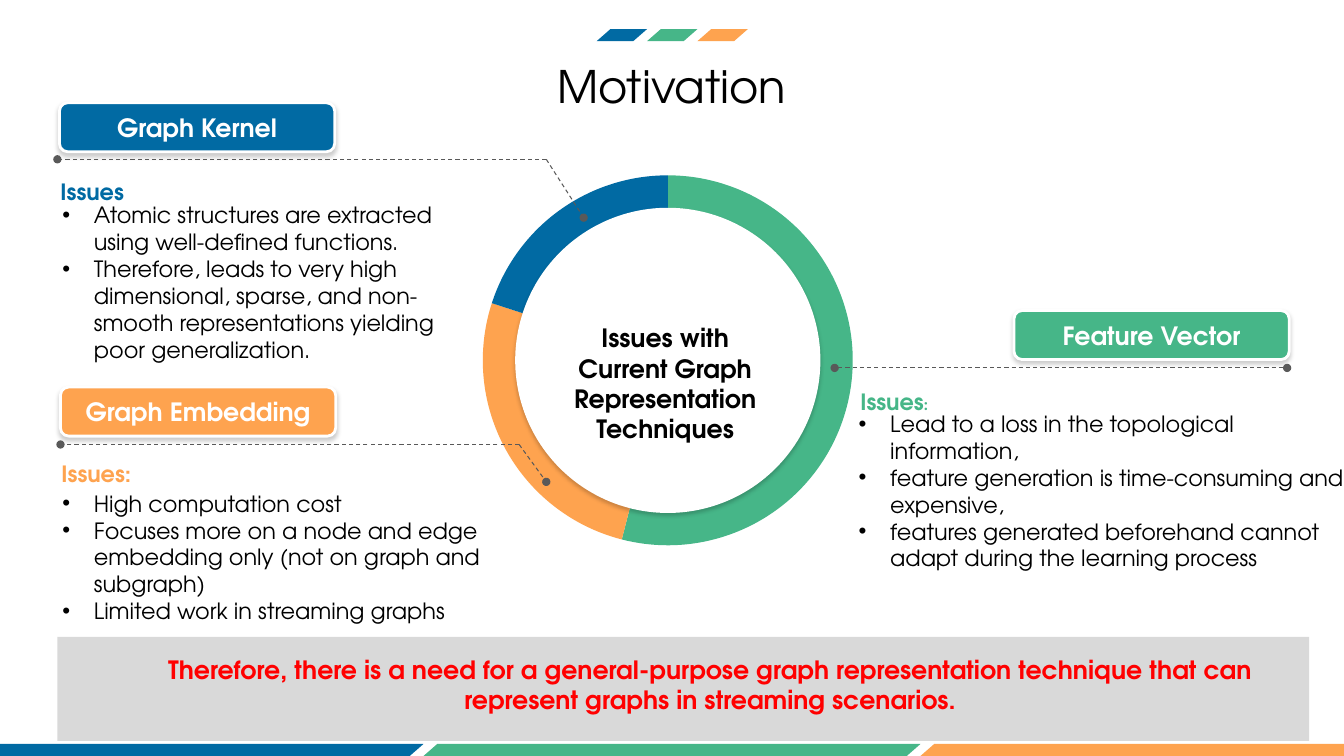
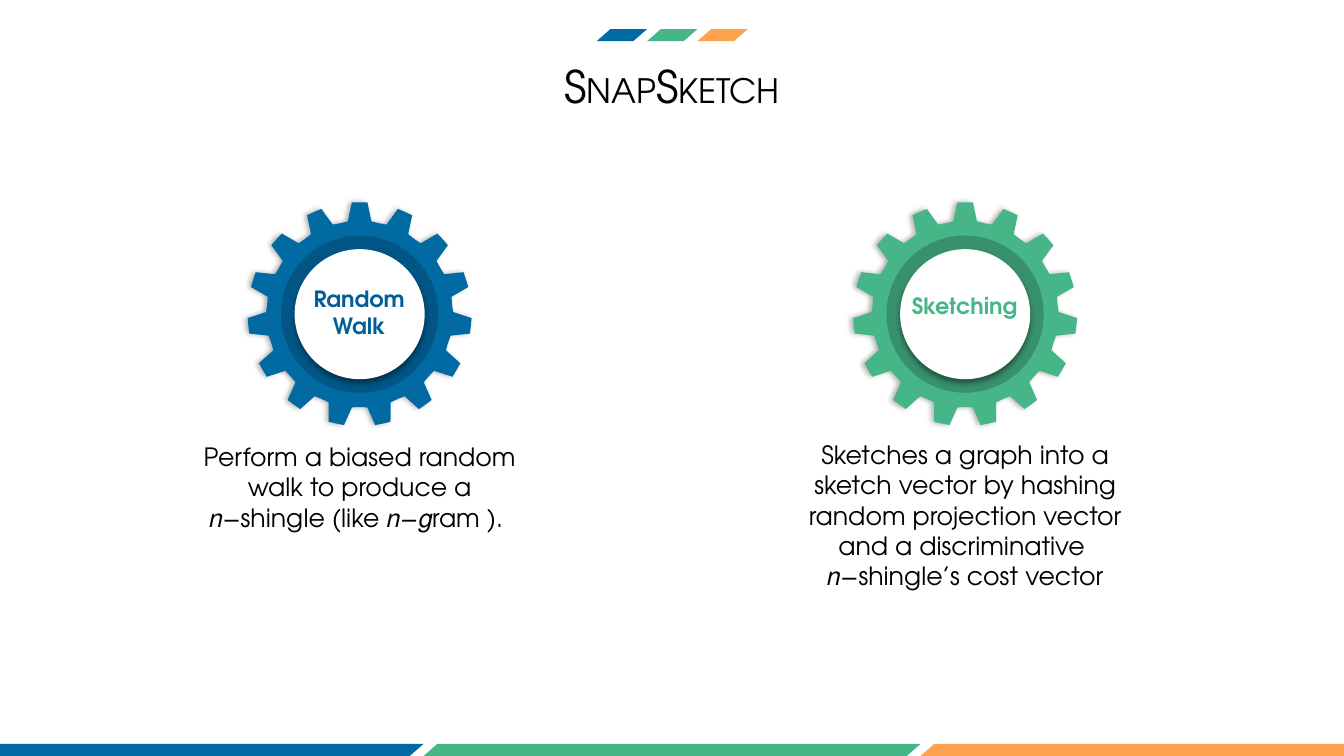
import math

from pptx import Presentation
from pptx import util as u
from pptx.chart import data as chart_data
from pptx.dml import color
from pptx.enum import chart as charts, dml, shapes, text
from pptx.oxml import ns, xmlchemy

FONT = "TeX Gyre Adventor"
BLUE, GREEN, ORANGE = "016AA3", "46B688", "FEA34F"
WHITE, BLACK, GREY, PALE, RED = "FFFFFF", "000000", "595959", "D9D9D9", "FF0000"
CENTER, LEFT, RIGHT = text.PP_ALIGN.CENTER, text.PP_ALIGN.LEFT, text.PP_ALIGN.RIGHT
MIDDLE, TOP = text.MSO_ANCHOR.MIDDLE, text.MSO_ANCHOR.TOP
SOFT_SHADOW = (20, 3, 2, 90)


def rgb(value):
    """Return a colour from its hex string."""
    return color.RGBColor.from_string(value)


def points(*values):
    """Return lengths given in points."""
    return [u.Pt(value) for value in values]


def sub_element(parent, tag, **attributes):
    """Append an XML element with attributes and return it."""
    element = xmlchemy.OxmlElement(tag)
    for name, value in attributes.items():
        element.set(name, str(value))
    parent.append(element)
    return element


def paint(shape, fill, line=None, shadow=None):
    """Set the fill, outline and shadow of a shape."""
    shape.fill.solid()
    shape.fill.fore_color.rgb = rgb(fill)
    if line:
        shape.line.color.rgb = rgb(line)
        shape.line.width = u.Pt(2)
    else:
        shape.line.fill.background()
    shape.shadow.inherit = False
    if shadow:
        opacity, blur, distance, angle = shadow
        effects = shape._element.spPr.find(ns.qn("a:effectLst"))
        outer = sub_element(effects, "a:outerShdw", blurRad=u.Pt(blur), dist=u.Pt(distance),
                            dir=angle * 60000, algn="ctr", rotWithShape=0)
        tint = sub_element(outer, "a:srgbClr", val=BLACK)
        sub_element(tint, "a:alpha", val=opacity * 1000)
    return shape


def add_block(slide, kind, box, fill, line=None, shadow=None):
    """Add a painted preset shape."""
    return paint(slide.shapes.add_shape(kind, *points(*box)), fill, line, shadow)


def write(shape, paragraphs, hue, align=LEFT, bold=False, bullets=False,
          insets=(0, 0, 0, 0), anchor=TOP):
    """Fill a shape with paragraphs of (text, size, font) runs."""
    frame = shape.text_frame
    frame.word_wrap = True
    frame.vertical_anchor = anchor
    frame.margin_left, frame.margin_top, frame.margin_right, frame.margin_bottom = points(*insets)
    for index, runs in enumerate(paragraphs):
        paragraph = frame.add_paragraph() if index else frame.paragraphs[0]
        paragraph.alignment = align
        if bullets:
            properties = paragraph._p.get_or_add_pPr()
            properties.set("marL", str(u.Pt(22.5)))
            properties.set("indent", str(u.Pt(-22.5)))
            sub_element(properties, "a:buFont", typeface="Arial")
            sub_element(properties, "a:buChar", char="•")
        for words, size, font in runs:
            run = paragraph.add_run()
            run.text = words
            run.font.size = u.Pt(size)
            run.font.name = font
            run.font.bold = bold
            run.font.color.rgb = rgb(hue)


def add_text(slide, box, paragraphs, hue=BLACK, **style):
    """Add a text box."""
    write(slide.shapes.add_textbox(*points(*box)), paragraphs, hue, **style)


def plain(size, *lines):
    """Return one paragraph of one run for each line."""
    return [[(line, size, FONT)] for line in lines]


def add_leader(slide, start, end, dot_at_start=False):
    """Add a dashed line that ends in a dot."""
    connector = slide.shapes.add_connector(shapes.MSO_CONNECTOR.STRAIGHT, *points(*start, *end))
    connector.line.color.rgb = rgb(GREY)
    connector.line.width = u.Pt(0.75)
    connector.line.dash_style = dml.MSO_LINE.DASH
    outline = connector.line._get_or_add_ln()
    if dot_at_start:
        sub_element(outline, "a:headEnd", type="oval")
    sub_element(outline, "a:tailEnd", type="oval")
    sub_element(connector._element.spPr, "a:effectLst")


def add_stripes(slide, left, top, width):
    """Add three slanted stripes side by side."""
    for index, hue in enumerate((BLUE, GREEN, ORANGE)):
        box = (left + index * width, top, width, 8.6)
        stripe = add_block(slide, shapes.MSO_SHAPE.PARALLELOGRAM, box, hue)
        stripe.adjustments[0] = 1.144


def new_slide(presentation, title_runs):
    """Add a blank slide with the shared stripes and title."""
    slide = presentation.slides.add_slide(presentation.slide_layouts[6])
    add_stripes(slide, -52.5, 531.4, 355)
    add_stripes(slide, 426.2, 20.8, 36)
    add_text(slide, (237.6, 41.8, 484.6, 38.8), [title_runs], align=CENTER, anchor=MIDDLE)
    return slide


def add_ring(slide, left, top, width, height):
    """Add a pie chart with a white disc and a caption at its centre."""
    numbers = chart_data.CategoryChartData()
    numbers.categories = ["1", "2", "3"]
    numbers.add_series("Series 1", (54, 26, 20))
    chart = slide.shapes.add_chart(charts.XL_CHART_TYPE.PIE, *points(left, top, width, height),
                                   numbers).chart
    chart.has_legend = False
    chart.has_title = False
    chart.font.size = u.Pt(10)
    chart.font.name = "Calibri"
    chart.font.color.rgb = rgb(BLACK)
    plot = chart.plots[0]
    plot.vary_by_categories = True
    for index, hue in enumerate((GREEN, ORANGE, BLUE)):
        slice_format = plot.series[0].points[index].format
        slice_format.fill.solid()
        slice_format.fill.fore_color.rgb = rgb(hue)
        slice_format.line.fill.background()
    area = chart._chartSpace.chart.plotArea
    for old in area.findall(ns.qn("c:layout")):
        area.remove(old)
    layout = xmlchemy.OxmlElement("c:layout")
    area.insert(0, layout)
    manual = sub_element(layout, "c:manualLayout")
    pie = 264.3
    across, down = pie / width, pie / height
    for tag, value in (("layoutTarget", "inner"), ("xMode", "edge"), ("yMode", "edge"),
                       ("x", (1 - across) / 2), ("y", (1 - down) / 2),
                       ("w", across), ("h", down)):
        sub_element(manual, "c:" + tag, val=value)
    disc = 218
    add_block(slide, shapes.MSO_SHAPE.OVAL,
              (left + (width - disc) / 2, top + (height - disc) / 2, disc, disc),
              WHITE, shadow=SOFT_SHADOW)
    add_text(slide, (left + 119.5, top + 115.2, 184.3, 87),
             plain(18, "Issues with", "Current Graph Representation Techniques"),
             align=CENTER, bold=True)


def add_callout(slide, left, top, hue, label, heading, heading_box, issues, issues_box,
                heading_align=LEFT):
    """Add a button with a heading and bullets, boxes being relative to the button."""
    button = add_block(slide, shapes.MSO_SHAPE.ROUNDED_RECTANGLE, (left, top, 196.6, 35),
                       hue, WHITE, SOFT_SHADOW)
    write(button, plain(18, label), WHITE, align=CENTER, bold=True, anchor=MIDDLE,
          insets=(7.2, 3.6, 7.2, 3.6))
    right, down = heading_box
    add_text(slide, (left + right, top + down, 75.6, 19.4), [heading], hue,
             align=heading_align, bold=True)
    right, down, width, height = issues_box
    add_text(slide, (left + right, top + down, width, height), plain(16, *issues), bullets=True)


def add_conclusion(slide, left, top, width, height):
    """Add the grey band with the conclusion."""
    band = add_block(slide, shapes.MSO_SHAPE.RECTANGLE, (left, top, width, height), PALE)
    write(band, plain(18, "Therefore, there is a need for a general-purpose graph representation "
                          "technique that can represent graphs in streaming scenarios."),
          RED, align=CENTER, bold=True, insets=(45.4, 12.2, 7.2, 3.6))


def add_motivation(presentation):
    """Add the slide on the issues of current techniques."""
    slide = new_slide(presentation, [("Motivation", 32, FONT)])
    add_ring(slide, 263.5, 115.2, 427, 284.4)
    add_callout(slide, 42.5, 73.4, BLUE, "Graph Kernel", [("Issues", 16, FONT)], (0.7, 54),
                ("Atomic structures are extracted using well-defined functions.",
                 "Therefore, leads to very high dimensional, sparse, and non-smooth "
                 "representations yielding poor generalization."), (2.1, 70.6, 298, 116.6))
    add_callout(slide, 43.2, 276.5, ORANGE, "Graph Embedding", [("Issues:", 16, FONT)], (0.7, 52.5),
                ("High computation cost",
                 "Focuses more on a node and edge embedding only (not on graph and subgraph)",
                 "Limited work in streaming graphs"), (1.4, 73.4, 318.2, 97.2))
    add_callout(slide, 724.3, 221.8, GREEN, "Feature Vector",
                [("Issues", 16, FONT), (":", 12, "Calibri")], (-136.8, 55.4),
                ("Lead to a loss in the topological information,",
                 "feature generation is time-consuming and expensive,",
                 "features generated beforehand cannot adapt during the learning process"),
                (-110.9, 71.2, 347, 116.6), RIGHT)
    for edge, bend, target in (((41, 113.8), (390.2, 113.8), (416.9, 155.5)),
                               ((43.2, 317.5), (370.8, 317.5), (390.2, 344.2))):
        add_leader(slide, bend, edge)
        add_leader(slide, bend, target)
    add_leader(slide, (596.2, 262.8), (919.4, 262.8), dot_at_start=True)
    add_conclusion(slide, 41, 455, 894.2, 74.2)


def add_gear(slide, center_x, center_y, hue, ring_hue):
    """Add a gear of fifteen teeth with a ring and a white hub."""
    teeth, step = 15, 24
    profile = ((-12, 66.4), (-7.3, 66.8), (-4, 80), (0, 79.9), (4, 80), (7.3, 66.8))
    outline = []
    for tooth in range(teeth):
        for offset, radius in profile:
            angle = math.radians(tooth * step + offset)
            outline.append(points(center_x + radius * math.sin(angle),
                                  center_y - radius * math.cos(angle)))
    builder = slide.shapes.build_freeform(*outline[0])
    builder.add_line_segments(outline[1:], close=True)
    paint(builder.convert_to_shape(), hue, shadow=(30, 4, 2, 180))
    for size, fill, shadow in ((112.3, ring_hue, None), (92.9, WHITE, (40, 4, 3, 90))):
        add_block(slide, shapes.MSO_SHAPE.OVAL,
                  (center_x - size / 2, center_y - size / 2, size, size), fill, shadow=shadow)


def add_stage(slide, left, hue, ring_hue, label, label_hue, label_top, lines, lines_top):
    """Add a gear with its label and the description below."""
    width = 244.8
    center = left + width / 2
    add_gear(slide, center, 224.4, hue, ring_hue)
    add_text(slide, (center - 49, label_top, 97.2, 38.9), plain(16, label), label_hue,
             align=CENTER, bold=True)
    add_text(slide, (left, lines_top, width, 21.7 * 5), plain(18, *lines), align=CENTER)


def add_sketch(presentation):
    """Add the slide on the two stages of the method."""
    slide = new_slide(presentation, [("S", 32, FONT), ("NAP", 24, FONT),
                                     ("S", 32, FONT), ("KETCH", 24, FONT)])
    add_stage(slide, 134.5, BLUE, "015685", "Random Walk", "005F99", 203.8,
              ("Perform a biased random walk to produce a 𝑛−shingle (like 𝑛−𝑔ram ). ",), 315.4)
    add_stage(slide, 567, GREEN, "38906C", "Sketching", GREEN, 208.8,
              ("Sketches a graph into a sketch vector by hashing random projection vector "
               "and a discriminative ", "𝑛−shingle’s cost vector"), 313.9)


def main():
    """Build and save the presentation."""
    presentation = Presentation()
    presentation.slide_width, presentation.slide_height = points(960, 540)
    add_motivation(presentation)
    add_sketch(presentation)
    presentation.save("out.pptx")


if __name__ == "__main__":
    main()
